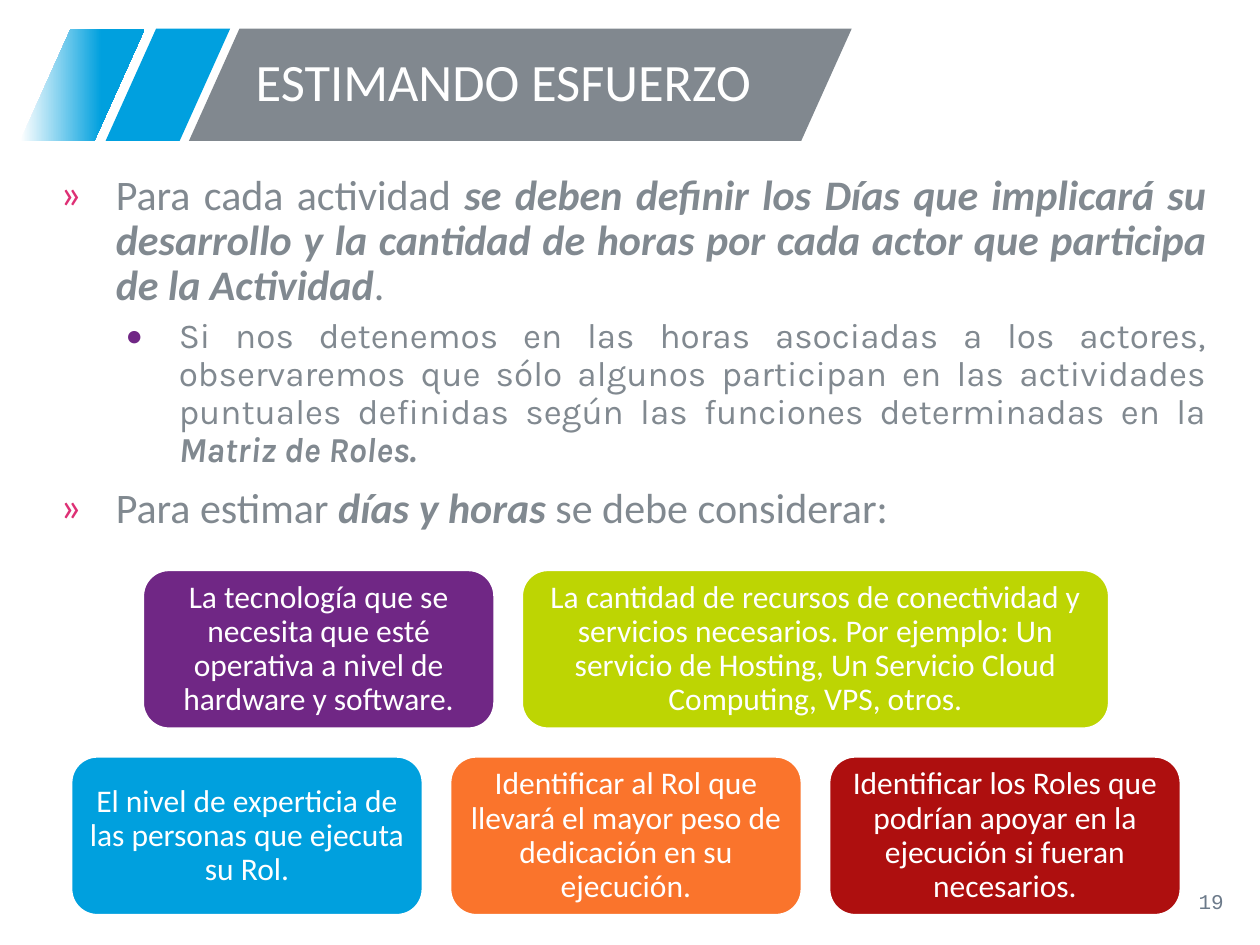
import dataclasses
import typing

import lxml.etree
import pptx
import pptx.dml.color
import pptx.enum.shapes
import pptx.enum.text
import pptx.oxml.ns
import pptx.util

Cm = pptx.util.Cm
Pt = pptx.util.Pt
SHAPE = pptx.enum.shapes.MSO_SHAPE
ALIGN = pptx.enum.text.PP_ALIGN
ANCHOR = pptx.enum.text.MSO_ANCHOR
FIT = pptx.enum.text.MSO_AUTO_SIZE

WHITE, GREY = "FFFFFF", "818990"
BAND_TOP, BAND_HEIGHT = 0.58, 2.26
CARD_CENTER, CARD_TOP = 12.62, 11.48
CARD_HEIGHT, CARD_GAP, CARD_ROW_STEP = 3.22, 0.53, 3.76
NARROW, WIDE = 7.11, 11.86


@dataclasses.dataclass
class Band:
    left: float
    width: float
    color: str
    fades: bool = False


@dataclasses.dataclass
class Card:
    text: str
    color: str
    width: float = NARROW


@dataclasses.dataclass
class Level:
    number: int
    bullet: str
    bullet_color: str
    margin: float
    hanging: float
    before: int
    size: int
    font: str


@dataclasses.dataclass
class Item:
    level: Level
    runs: list[tuple[str, bool]]


TOPIC = Level(0, "»", "DE3075", 1.27, 1.12, 10, 24, "Calibri")
DETAIL = Level(1, "•", "702785", 2.54, 1.07, 5, 20, "Karla")

BANDS = [
    Band(0.41, 2.51, "00A0DE", fades=True),
    Band(2.13, 2.51, "00A0DF"),
    Band(3.81, 13.36, "81888F"),
]
ITEMS = [
    Item(TOPIC, [
        ("Para cada actividad ", False),
        ("se deben definir los Días que implicará su desarrollo y la cantidad "
         "de horas por cada actor que participa de la Actividad", True),
        (".", False),
    ]),
    Item(DETAIL, [
        ("Si nos detenemos en las horas asociadas a los actores, observaremos "
         "que sólo algunos participan en las actividades puntuales definidas "
         "según las funciones determinadas en la ", False),
        ("Matriz de Roles.", True),
    ]),
    Item(TOPIC, [
        ("Para estimar ", False),
        ("días y horas ", True),
        ("se debe considerar:", False),
    ]),
]
CARD_ROWS = [
    [
        Card("La tecnología que se necesita que esté operativa a nivel de "
             "hardware y software.", "702785"),
        Card("La cantidad de recursos de conectividad y servicios necesarios. "
             "Por ejemplo: Un servicio de Hosting, Un Servicio Cloud "
             "Computing, VPS, otros.", "BDD503", WIDE),
    ],
    [
        Card("El nivel de experticia de las personas que ejecuta su Rol.", "00A0DE"),
        Card("Identificar al Rol que llevará el mayor peso de dedicación en su "
             "ejecución.", "FA742C"),
        Card("Identificar los Roles que podrían apoyar en la ejecución si "
             "fueran necesarios.", "AE0F0F"),
    ],
]


def rgb(value: str) -> pptx.dml.color.RGBColor:
    return pptx.dml.color.RGBColor.from_string(value)


def apply(target: typing.Any, values: dict[str, typing.Any]) -> None:
    for name, value in values.items():
        setattr(target, name, value)


def place(shape: typing.Any, left: float, top: float, width: float, height: float) -> None:
    apply(shape, {"left": Cm(left), "top": Cm(top),
                  "width": Cm(width), "height": Cm(height)})


def add_text(paragraph: typing.Any, text: str, color: str, **font: typing.Any) -> None:
    run = paragraph.add_run()
    run.text = text
    run.font.color.rgb = rgb(color)
    apply(run.font, font)


def add_band(slide: typing.Any, band: Band, depth: int) -> None:
    shape = slide.shapes.add_shape(SHAPE.PARALLELOGRAM, Cm(band.left), Cm(BAND_TOP),
                                   Cm(band.width), Cm(BAND_HEIGHT))
    shape.adjustments[0] = 0.45
    shape.shadow.inherit = False
    shape.line.fill.background()
    if band.fades:
        shape.fill.gradient()
        shape.fill.gradient_angle = 0
        for stop, color, position in zip(shape.fill.gradient_stops,
                                         (WHITE, band.color), (0, 0.65)):
            stop.color.rgb = rgb(color)
            stop.position = position
    else:
        shape.fill.solid()
        shape.fill.fore_color.rgb = rgb(band.color)
    slide.shapes.element.insert(2 + depth, shape.element)


def add_bullet(paragraph: typing.Any, level: Level) -> None:
    properties = paragraph._p.get_or_add_pPr()
    properties.set("marL", str(Cm(level.margin)))
    properties.set("indent", str(-Cm(level.hanging)))
    qn = pptx.oxml.ns.qn
    bullet_color = lxml.etree.SubElement(properties, qn("a:buClr"))
    lxml.etree.SubElement(bullet_color, qn("a:srgbClr"), val=level.bullet_color)
    lxml.etree.SubElement(properties, qn("a:buFont"), typeface="Calibri")
    lxml.etree.SubElement(properties, qn("a:buChar"), char=level.bullet)


def add_items(body: typing.Any, items: list[Item]) -> None:
    frame = body.text_frame
    for index, item in enumerate(items):
        paragraph = frame.add_paragraph() if index else frame.paragraphs[0]
        level = item.level
        add_bullet(paragraph, level)
        apply(paragraph, {"level": level.number, "alignment": ALIGN.JUSTIFY,
                          "line_spacing": 0.9,
                          "space_before": Pt(level.before if index else 0)})
        for text, strong in item.runs:
            add_text(paragraph, text, GREY, size=Pt(level.size), name=level.font,
                     bold=strong, italic=strong)


def add_card(slide: typing.Any, card: Card, left: float, top: float) -> None:
    shape = slide.shapes.add_shape(SHAPE.ROUNDED_RECTANGLE, Cm(left), Cm(top),
                                   Cm(card.width), Cm(CARD_HEIGHT))
    shape.shadow.inherit = False
    shape.fill.solid()
    shape.fill.fore_color.rgb = rgb(card.color)
    shape.line.color.rgb = rgb(WHITE)
    shape.line.width = Pt(2)
    margins = {f"margin_{side}": Cm(0.18) for side in ("left", "top", "right", "bottom")}
    apply(shape.text_frame, {"word_wrap": True, "vertical_anchor": ANCHOR.MIDDLE, **margins})
    paragraph = shape.text_frame.paragraphs[0]
    apply(paragraph, {"alignment": ALIGN.CENTER, "line_spacing": 0.9})
    add_text(paragraph, card.text, WHITE, size=Pt(18), name="Calibri")


def main() -> None:
    deck = pptx.Presentation()
    apply(deck, {"slide_width": Cm(25.4), "slide_height": Cm(19.05)})
    slide = deck.slides.add_slide(deck.slide_layouts[1])
    for depth, band in enumerate(BANDS):
        add_band(slide, band, depth)

    title = slide.shapes.title
    place(title, 4.9, BAND_TOP, 11.91, BAND_HEIGHT)
    apply(title.text_frame, {"auto_size": FIT.NONE, "vertical_anchor": ANCHOR.MIDDLE})
    heading = title.text_frame.paragraphs[0]
    apply(heading, {"alignment": ALIGN.LEFT, "line_spacing": 0.9})
    add_text(heading, "ESTIMANDO ESFUERZO", WHITE, size=Pt(30), name="Calibri")

    body = slide.placeholders[1]
    place(body, 0.81, 3.38, 23.77, 7.57)
    body.text_frame.auto_size = FIT.NONE
    add_items(body, ITEMS)

    for row, cards in enumerate(CARD_ROWS):
        row_width = sum(card.width for card in cards) + CARD_GAP * (len(cards) - 1)
        left = CARD_CENTER - row_width / 2
        for card in cards:
            add_card(slide, card, left, CARD_TOP + row * CARD_ROW_STEP)
            left += card.width + CARD_GAP

    page = slide.shapes.add_textbox(Cm(19.2), Cm(17.65), Cm(5.72), Cm(1.02))
    apply(page.text_frame, {"word_wrap": True, "vertical_anchor": ANCHOR.MIDDLE})
    page_number = page.text_frame.paragraphs[0]
    page_number.alignment = ALIGN.RIGHT
    add_text(page_number, "19", "6C7A8A", size=Pt(12), name="Courier New")
    deck.save("out.pptx")


if __name__ == "__main__":
    main()
